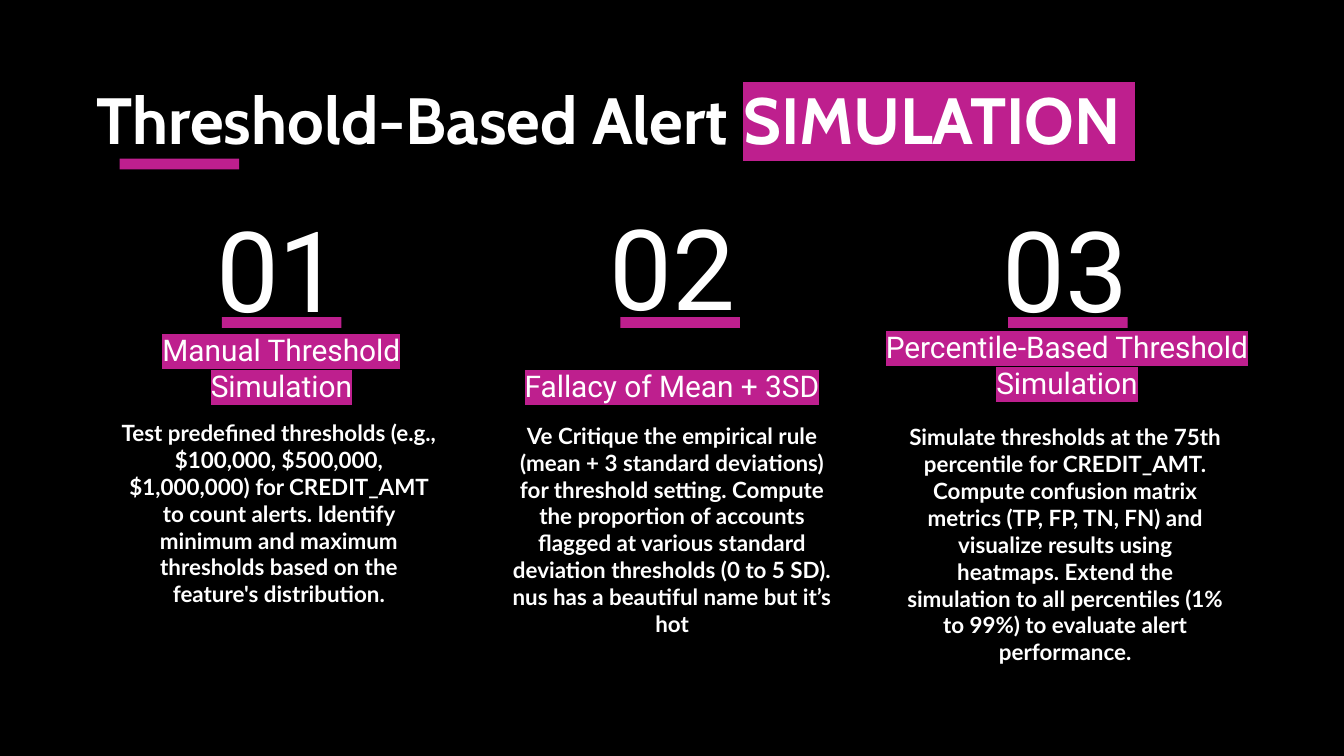
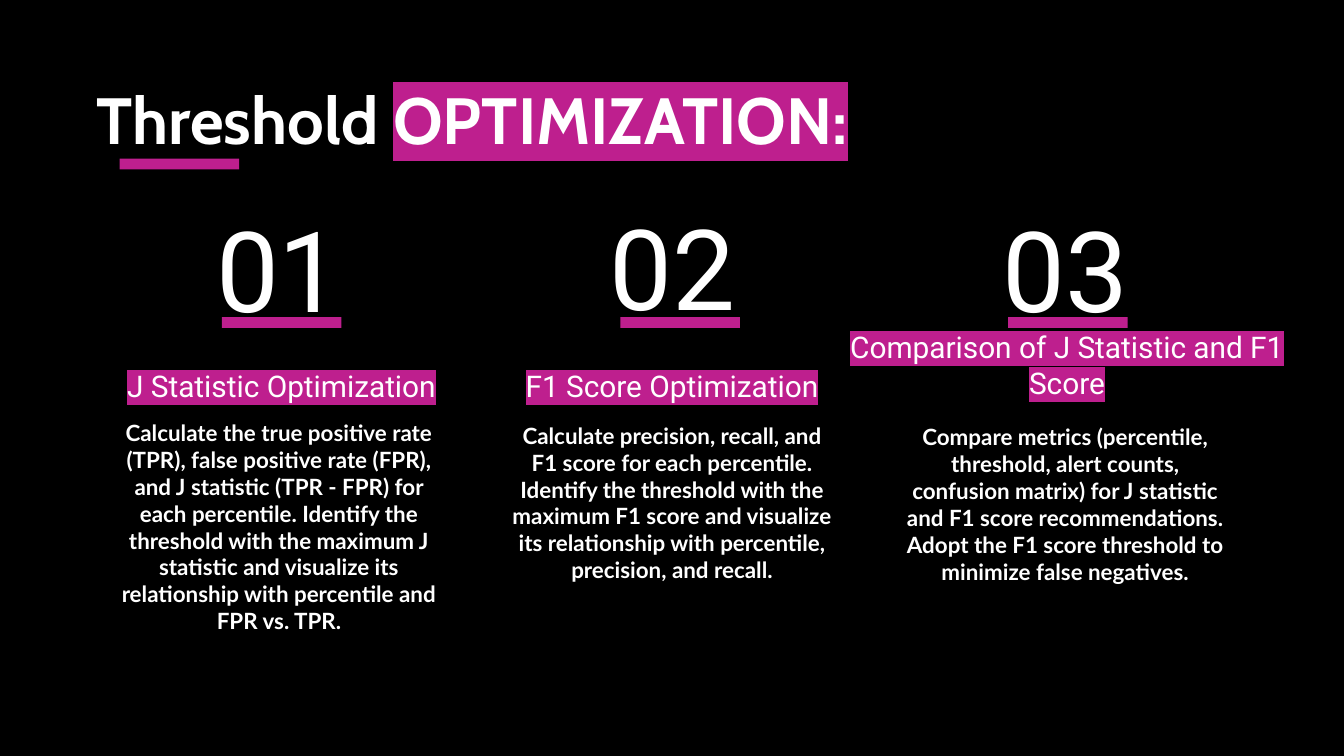
from dataclasses import dataclass

from lxml import etree
from pptx import Presentation
from pptx.dml.color import RGBColor
from pptx.enum.shapes import MSO_SHAPE
from pptx.enum.text import MSO_ANCHOR, PP_ALIGN
from pptx.oxml.ns import qn
from pptx.util import Pt

RECT = MSO_SHAPE.RECTANGLE
TOP, BASE = MSO_ANCHOR.TOP, MSO_ANCHOR.BOTTOM
LEFT, MID = PP_ALIGN.LEFT, PP_ALIGN.CENTER


@dataclass(frozen=True)
class Theme:
    back: str = "000000"
    ink: str = "FFFFFF"
    mark: str = "BE1F8E"
    title: tuple = ("Cabin", 35, True)
    number: tuple = ("Roboto", 60, False)
    head: tuple = ("Roboto", 16, False)
    body: tuple = ("Lato", 12, True)


@dataclass(frozen=True)
class Column:
    top: float
    bar: float
    head: tuple
    body: tuple


THEME = Theme()
WIDTH, HEIGHT = 720, 405
INSET = 7.2
START, STEP, SPAN = 56.2, 210.6, 186.5
BAR_TOP, BAR_SIZE = 169.9, (64.1, 5.8)
HEAD_TOP = 187.9
COLUMNS = [
    Column(100.1, 62.6, (-4.4, 198, 35.3), (217.4, 125.3)),
    Column(99.4, 65.5, (0, SPAN, 35.3), (218.9, 120.2)),
    Column(100.1, 62.6, (-33.2, 254.9, 33.8), (219.6, 121)),
]

SLIDES = [
    (("Threshold-Based Alert ", "SIMULATION "), [
        ("Manual Threshold Simulation",
         "Test predefined thresholds (e.g., $100,000, $500,000, $1,000,000) "
         "for CREDIT_AMT to count alerts. Identify minimum and maximum "
         "thresholds based on the feature's distribution."),
        ("Fallacy of Mean + 3SD",
         "Ve Critique the empirical rule (mean + 3 standard deviations) for "
         "threshold setting. Compute the proportion of accounts flagged at "
         "various standard deviation thresholds (0 to 5 SD). nus has a "
         "beautiful name but it’s hot"),
        ("Percentile-Based Threshold Simulation",
         "Simulate thresholds at the 75th percentile for CREDIT_AMT. Compute "
         "confusion matrix metrics (TP, FP, TN, FN) and visualize results "
         "using heatmaps. Extend the simulation to all percentiles (1% to "
         "99%) to evaluate alert performance."),
    ]),
    (("Threshold ", "OPTIMIZATION:"), [
        ("J Statistic Optimization",
         "Calculate the true positive rate (TPR), false positive rate (FPR), "
         "and J statistic (TPR - FPR) for each percentile. Identify the "
         "threshold with the maximum J statistic and visualize its "
         "relationship with percentile and FPR vs. TPR."),
        ("F1 Score Optimization",
         "Calculate precision, recall, and F1 score for each percentile. "
         "Identify the threshold with the maximum F1 score and visualize its "
         "relationship with percentile, precision, and recall."),
        ("Comparison of J Statistic and F1 Score",
         "Compare metrics (percentile, threshold, alert counts, confusion "
         "matrix) for J statistic and F1 score recommendations. Adopt the F1 "
         "score threshold to minimize false negatives."),
    ]),
]


def color(name):
    return RGBColor.from_string(name)


def write(para, text, *, style, marked=False):
    run = para.add_run()
    run.text = text
    font = run.font
    font.name, size, font.bold = style
    font.size = Pt(size)
    font.color.rgb = color(THEME.ink)
    if marked:
        light = etree.Element(qn("a:highlight"))
        etree.SubElement(light, qn("a:srgbClr")).set("val", THEME.mark)
        run.font._element.find(qn("a:solidFill")).addnext(light)


def add_text(slide, box, parts, *, style, align=MID, anchor=TOP):
    frame = slide.shapes.add_textbox(*map(Pt, box)).text_frame
    frame.word_wrap = True
    frame.vertical_anchor = anchor
    frame.margin_left = frame.margin_right = Pt(INSET)
    frame.margin_top = frame.margin_bottom = Pt(INSET)
    para = frame.paragraphs[0]
    para.alignment = align
    for text, marked in parts:
        write(para, text, style=style, marked=marked)


def add_bar(slide, left, top):
    bar = slide.shapes.add_shape(RECT, Pt(left), Pt(top), *map(Pt, BAR_SIZE))
    bar.shadow.inherit = False
    bar.fill.solid()
    bar.fill.fore_color.rgb = color(THEME.mark)
    bar.line.fill.background()


def add_title(slide, box, words):
    left, top, _, high = box
    plain, bold = words
    add_text(slide, box, [(plain, False), (bold, True)],
             style=THEME.title, align=LEFT)
    add_bar(slide, left + 19.5, top + high + 4.3)


def add_column(slide, left, col, label, words):
    head, body = words
    shift, wide, high = col.head
    low, deep = col.body
    add_text(slide, (left, col.top, SPAN, 86.4), [(label, False)],
             style=THEME.number, anchor=BASE)
    add_bar(slide, left + col.bar, BAR_TOP)
    add_text(slide, (left + shift, HEAD_TOP, wide, high), [(head, True)],
             style=THEME.head, anchor=BASE)
    add_text(slide, (left, low, SPAN, deep), [(body, False)],
             style=THEME.body)


def add_slide(deck, title, items):
    slide = deck.slides.add_slide(deck.slide_layouts[6])
    fill = slide.background.fill
    fill.solid()
    fill.fore_color.rgb = color(THEME.back)
    add_title(slide, (44.6, 35.3, 618.5, 45.4), title)
    for i, (col, words) in enumerate(zip(COLUMNS, items)):
        add_column(slide, START + i * STEP, col, f"{i + 1:02}", words)


def main():
    deck = Presentation()
    deck.slide_width, deck.slide_height = Pt(WIDTH), Pt(HEIGHT)
    for title, items in SLIDES:
        add_slide(deck, title, items)
    deck.save("out.pptx")


if __name__ == "__main__":
    main()
